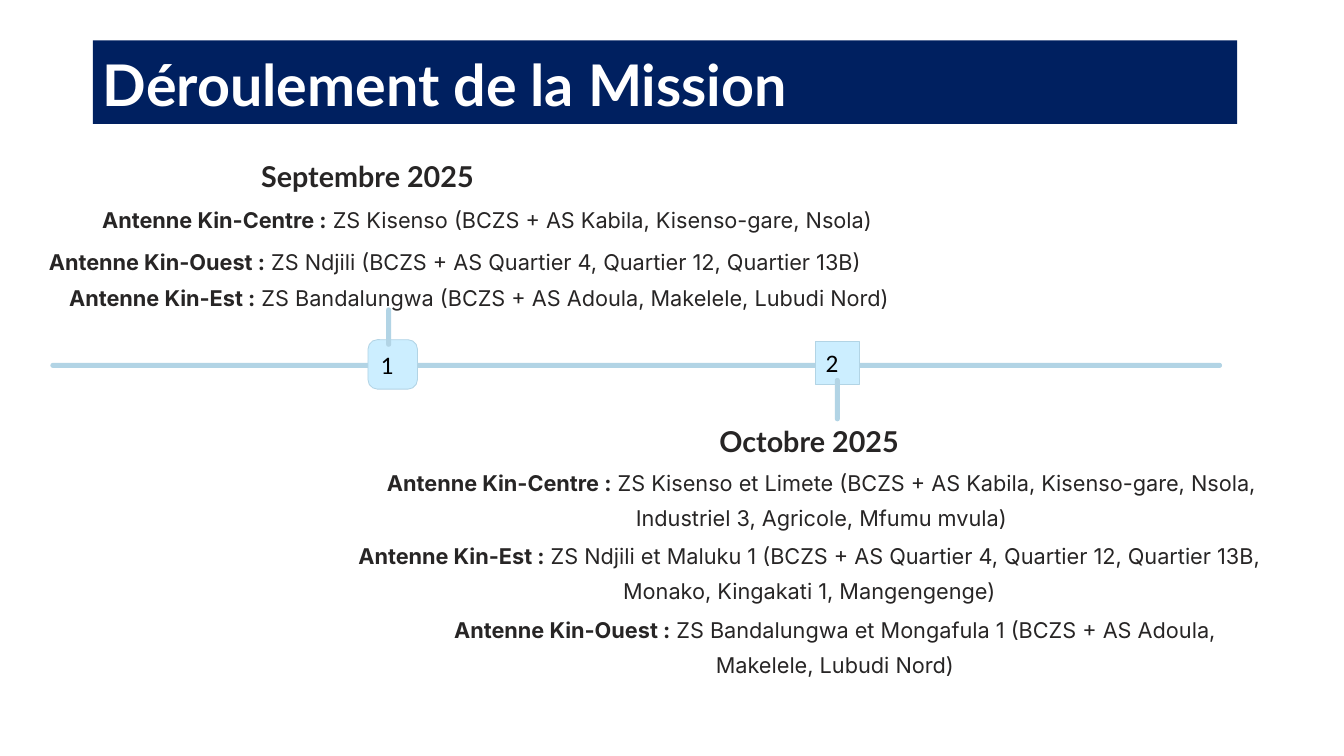
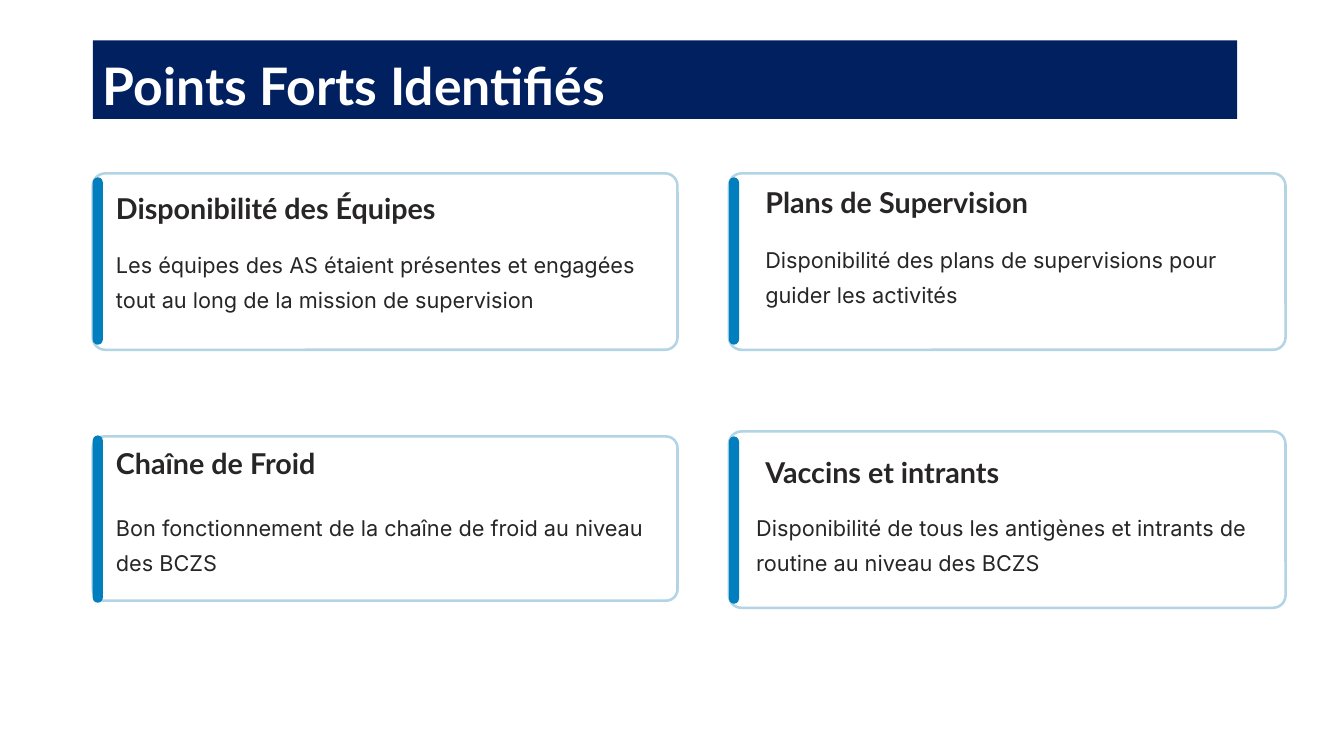
import pptx
import pptx.util
import pptx.dml.color
import pptx.enum.shapes
import pptx.enum.text

Inches = pptx.util.Inches
Pt = pptx.util.Pt
RGBColor = pptx.dml.color.RGBColor
Shape = pptx.enum.shapes.MSO_SHAPE
Align = pptx.enum.text.PP_ALIGN
Anchor = pptx.enum.text.MSO_ANCHOR

NAVY = RGBColor(0x00, 0x20, 0x60)
WHITE = RGBColor(0xFF, 0xFF, 0xFF)
BLACK = RGBColor(0x00, 0x00, 0x00)
INK = RGBColor(0x27, 0x25, 0x25)
PALE_BLUE = RGBColor(0xB2, 0xD4, 0xE5)
ICE_BLUE = RGBColor(0xCC, 0xEE, 0xFF)
ACCENT_BLUE = RGBColor(0x00, 0x7E, 0xBD)

SEPTEMBER = [
    (0.34, 1.96, "Antenne Kin-Centre :", " ZS Kisenso (BCZS + AS Kabila, Kisenso-gare, Nsola)"),
    (0.02, 2.38, "Antenne Kin-Ouest :", " ZS Ndjili (BCZS + AS Quartier 4, Quartier 12, Quartier 13B)"),
    (0.26, 2.74, "Antenne Kin-Est :", " ZS Bandalungwa (BCZS + AS Adoula, Makelele, Lubudi Nord)"),
]
OCTOBER = [
    (3.65, 8.99, "Antenne Kin-Centre :",
     " ZS Kisenso et Limete (BCZS + AS Kabila, Kisenso-gare, Nsola, Industriel 3, Agricole, Mfumu mvula)"),
    (3.53, 8.99, "Antenne Kin-Est :",
     " ZS Ndjili et Maluku 1 (BCZS + AS Quartier 4, Quartier 12, Quartier 13B, Monako, Kingakati 1, Mangengenge)"),
    (4.05, 8.46, "Antenne Kin-Ouest :",
     " ZS Bandalungwa et Mongafula 1 (BCZS + AS Adoula, Makelele, Lubudi Nord)"),
]
CARDS = [
    {"frame": (0.92, 1.72, 5.8, 1.75), "bar_top": 1.76,
     "heading": (1.15, 1.88, "Disponibilité des Équipes"),
     "body": (1.15, 2.41, 5.36,
              "Les équipes des AS étaient présentes et engagées tout au long de la mission de supervision")},
    {"frame": (7.23, 1.72, 5.52, 1.75), "bar_top": 1.76,
     "heading": (7.59, 1.82, "Plans de Supervision"),
     "body": (7.59, 2.36, 4.98, "Disponibilité des plans de supervisions pour guider les activités")},
    {"frame": (0.92, 4.33, 5.8, 1.63), "bar_top": 4.32,
     "heading": (1.15, 4.41, "Chaîne de Froid"),
     "body": (1.15, 5.02, 5.28, "Bon fonctionnement de la chaîne de froid au niveau des BCZS")},
    {"frame": (7.23, 4.28, 5.52, 1.75), "bar_top": 4.33,
     "heading": (7.59, 4.5, "Vaccins et intrants"),
     "body": (7.5, 5.02, 4.92,
              "Disponibilité de tous les antigènes et intrants de routine au niveau des BCZS")},
]


class Deck:
    """Hold the shared style and the slide being built."""

    heading_font = "Lato"
    body_font = "Inter"
    marker_font = "Calibri"

    def __init__(self):
        self.presentation = pptx.Presentation()
        self.presentation.slide_width = Inches(13.33)
        self.presentation.slide_height = Inches(7.5)
        self.slide = None

    def add_run(self, paragraph, text, font, size, color, bold=False):
        """Append one formatted run."""
        run = paragraph.add_run()
        run.text = text
        run.font.name = font
        run.font.size = Pt(size)
        run.font.bold = bold
        run.font.color.rgb = color

    def add_slide(self, title, height, size):
        """Start a slide with its title band."""
        self.slide = self.presentation.slides.add_slide(self.presentation.slide_layouts[5])
        band = self.slide.shapes.title
        band.left, band.top = Inches(0.92), Inches(0.4)
        band.width, band.height = Inches(11.35), Inches(height)
        band.fill.solid()
        band.fill.fore_color.rgb = NAVY
        frame = band.text_frame
        frame.auto_size = pptx.enum.text.MSO_AUTO_SIZE.NONE
        frame.word_wrap = True
        frame.vertical_anchor = Anchor.MIDDLE
        paragraph = frame.paragraphs[0]
        paragraph.alignment = Align.LEFT
        paragraph.line_spacing = Pt(51)
        self.add_run(paragraph, title, self.heading_font, size, WHITE, True)

    def add_box(self, left, top, width, height, fill, corner=0.5, line=None, line_width=0.6):
        """Add a rectangle, rounded when corner is not zero."""
        kind = Shape.ROUNDED_RECTANGLE if corner else Shape.RECTANGLE
        shape = self.slide.shapes.add_shape(
            kind, Inches(left), Inches(top), Inches(width), Inches(height))
        shape.shadow.inherit = False
        if corner:
            shape.adjustments[0] = corner
        shape.fill.solid()
        shape.fill.fore_color.rgb = fill
        if line is None:
            shape.line.fill.background()
        else:
            shape.line.color.rgb = line
            shape.line.width = Pt(line_width)
        return shape

    def add_marker(self, number, left, top, width, height, corner):
        """Add a numbered timeline marker."""
        shape = self.add_box(left, top, width, height, ICE_BLUE, corner, PALE_BLUE)
        shape.text_frame.vertical_anchor = Anchor.MIDDLE
        paragraph = shape.text_frame.paragraphs[0]
        paragraph.alignment = Align.LEFT
        self.add_run(paragraph, number, self.marker_font, 18, BLACK)

    def add_text(self, left, top, width, height, spacing, alignment):
        """Add a text box without insets and return its paragraph."""
        box = self.slide.shapes.add_textbox(
            Inches(left), Inches(top), Inches(width), Inches(height))
        frame = box.text_frame
        frame.word_wrap = True
        frame.margin_left = frame.margin_top = frame.margin_right = frame.margin_bottom = 0
        paragraph = frame.paragraphs[0]
        paragraph.alignment = alignment
        paragraph.line_spacing = Pt(spacing)
        return paragraph

    def add_heading(self, left, top, text, width=2.85, alignment=Align.LEFT):
        """Add a bold heading."""
        paragraph = self.add_text(left, top, width, 0.36, 25.5, alignment)
        self.add_run(paragraph, text, self.heading_font, 20.5, INK, True)

    def add_body(self, left, top, width, text, label="", height=0.69, alignment=Align.LEFT):
        """Add body text with an optional bold label."""
        paragraph = self.add_text(left, top, width, height, 25, alignment)
        if label:
            self.add_run(paragraph, label, self.body_font, 15.5, INK, True)
        self.add_run(paragraph, text, self.body_font, 15.5, INK)

    def add_card(self, card):
        """Add a framed card with its accent bar, heading and body."""
        self.add_box(*card["frame"], WHITE, 0.07, PALE_BLUE, 1.8)
        self.add_box(card["frame"][0], card["bar_top"], 0.1, 1.66, ACCENT_BLUE)
        self.add_heading(*card["heading"], width=3.35)
        self.add_body(*card["body"])


def build_timeline(deck):
    """Build the mission timeline slide."""
    deck.add_slide("Déroulement de la Mission", 0.83, 41)
    deck.add_box(0.5, 3.6, 11.62, 0.05, PALE_BLUE)
    deck.add_marker("1", 3.65, 3.37, 0.49, 0.49, 0.19)
    deck.add_marker("2", 8.09, 3.39, 0.43, 0.42, 0)
    deck.add_box(3.83, 3.05, 0.05, 0.39, PALE_BLUE)
    deck.add_box(8.28, 3.75, 0.05, 0.43, PALE_BLUE)
    deck.add_heading(2.22, 1.56, "Septembre 2025", alignment=Align.CENTER)
    for left, top, label, text in SEPTEMBER:
        deck.add_body(left, top, 8.98, text, label, 0.35, Align.CENTER)
    deck.add_heading(6.6, 4.19, "Octobre 2025", alignment=Align.CENTER)
    for index, (left, width, label, text) in enumerate(OCTOBER):
        deck.add_body(left, 4.57 + 0.73 * index, width, text, label, alignment=Align.CENTER)


def build_strengths(deck):
    """Build the strengths slide."""
    deck.add_slide("Points Forts Identifiés", 0.78, 36.9)
    for card in CARDS:
        deck.add_card(card)


def main():
    """Build and save the presentation."""
    deck = Deck()
    build_timeline(deck)
    build_strengths(deck)
    deck.presentation.save("out.pptx")


if __name__ == "__main__":
    main()
